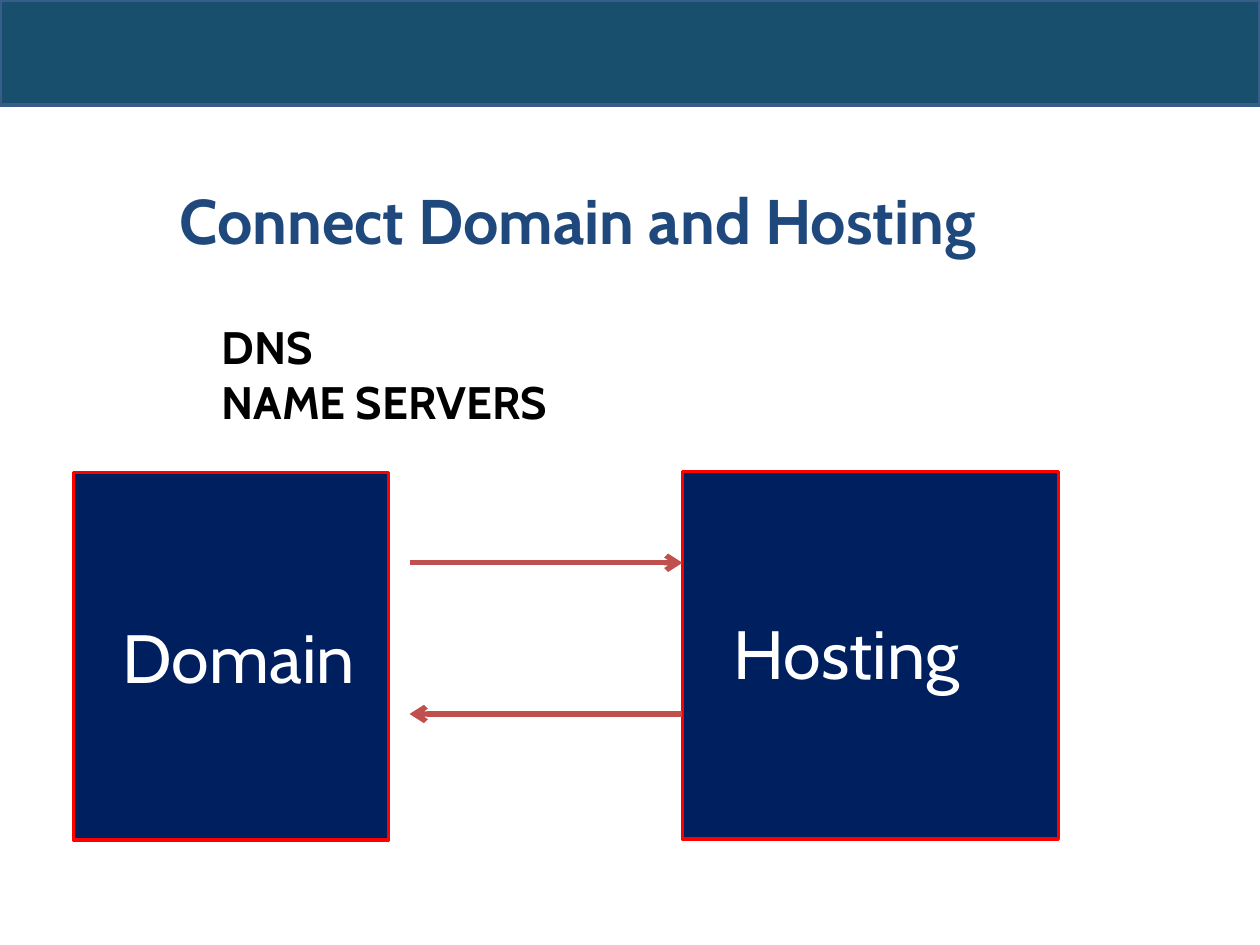
from dataclasses import dataclass

from lxml import etree
from pptx import Presentation
from pptx.dml.color import RGBColor
from pptx.enum.shapes import MSO_CONNECTOR, MSO_SHAPE
from pptx.enum.text import MSO_ANCHOR, PP_ALIGN
from pptx.oxml.ns import qn
from pptx.slide import Slide
from pptx.util import Inches, Pt

RECTANGLE = MSO_SHAPE.RECTANGLE
STRAIGHT = MSO_CONNECTOR.STRAIGHT
LEFT = PP_ALIGN.LEFT
TOP, MIDDLE = MSO_ANCHOR.TOP, MSO_ANCHOR.MIDDLE

TEAL = RGBColor(0x18, 0x4F, 0x6D)
STEEL = RGBColor(0x38, 0x5D, 0x89)
TITLE_BLUE = RGBColor(0x1F, 0x48, 0x7C)
NAVY = RGBColor(0x00, 0x1F, 0x5F)
RED = RGBColor(0xFF, 0x00, 0x00)
BRICK = RGBColor(0xC0, 0x50, 0x4D)
BLACK = RGBColor(0x00, 0x00, 0x00)
WHITE = RGBColor(0xFF, 0xFF, 0xFF)

COLUMNS, ROWS = 120, 90


def grid(*cells):
    """Turn grid counts (twelve to the inch) into lengths."""
    return [Inches(count / 12) for count in cells]


@dataclass
class SlideBuilder:
    slide: Slide
    font: str = "Cabin"
    outline: float = 2
    arrow_width: float = 3

    def set_text(self, frame, lines, size, color, bold=False, anchor=TOP, insets=(0, 0, 0, 0)):
        """Fill a text frame; insets are left, top, right, bottom in grid cells."""
        frame.word_wrap = True
        frame.vertical_anchor = anchor
        (frame.margin_left, frame.margin_top,
         frame.margin_right, frame.margin_bottom) = grid(*insets)
        frame.text = "\n".join(lines)
        for paragraph in frame.paragraphs:
            paragraph.alignment = LEFT
            for run in paragraph.runs:
                run.font.name = self.font
                run.font.size = Pt(size)
                run.font.bold = bold
                run.font.color.rgb = color

    def text(self, place, lines, size, color):
        box = self.slide.shapes.add_textbox(*grid(*place))
        self.set_text(box.text_frame, lines, size, color, bold=True, insets=(0.1, 0.3, 0, 0))

    def panel(self, place, fill, line):
        panel = self.slide.shapes.add_shape(RECTANGLE, *grid(*place))
        panel.shadow.inherit = False
        panel.fill.solid()
        panel.fill.fore_color.rgb = fill
        panel.line.color.rgb = line
        panel.line.width = Pt(self.outline)
        return panel

    def node(self, place, label, insets):
        node = self.panel(place, NAVY, RED)
        self.set_text(node.text_frame, [label], 39, WHITE, anchor=MIDDLE, insets=insets)

    def arrow(self, start, end, row):
        arrow = self.slide.shapes.add_connector(STRAIGHT, *grid(start, row, end, row))
        arrow.line.color.rgb = BRICK
        arrow.line.width = Pt(self.arrow_width)
        properties = arrow._element.spPr
        etree.SubElement(properties.find(qn("a:ln")), qn("a:tailEnd"),
                         type="arrow", w="med", len="med")
        etree.SubElement(properties, qn("a:effectLst"))


def main():
    presentation = Presentation()
    presentation.slide_width, presentation.slide_height = grid(COLUMNS, ROWS)
    builder = SlideBuilder(presentation.slides.add_slide(presentation.slide_layouts[6]))

    builder.panel((0, 0, COLUMNS, 10), TEAL, STEEL)
    builder.text((17, 17, 91, 7.6), ["Connect Domain and Hosting"], 36, TITLE_BLUE)

    arrows_left, hosting_left = 39, 65
    builder.node((7, 45, 30, 35), "Domain", (4.7, 0, 0, 0))
    builder.node((hosting_left, 44.9, 35.8, 35), "Hosting", (4.9, 0, 0, 0.6))
    builder.arrow(arrows_left, hosting_left, 53.6)
    builder.arrow(hosting_left, arrows_left, 68)

    builder.text((21, 30.1, 74, 10.8), ["DNS", "NAME SERVERS"], 26, BLACK)
    presentation.save("out.pptx")


if __name__ == "__main__":
    main()
